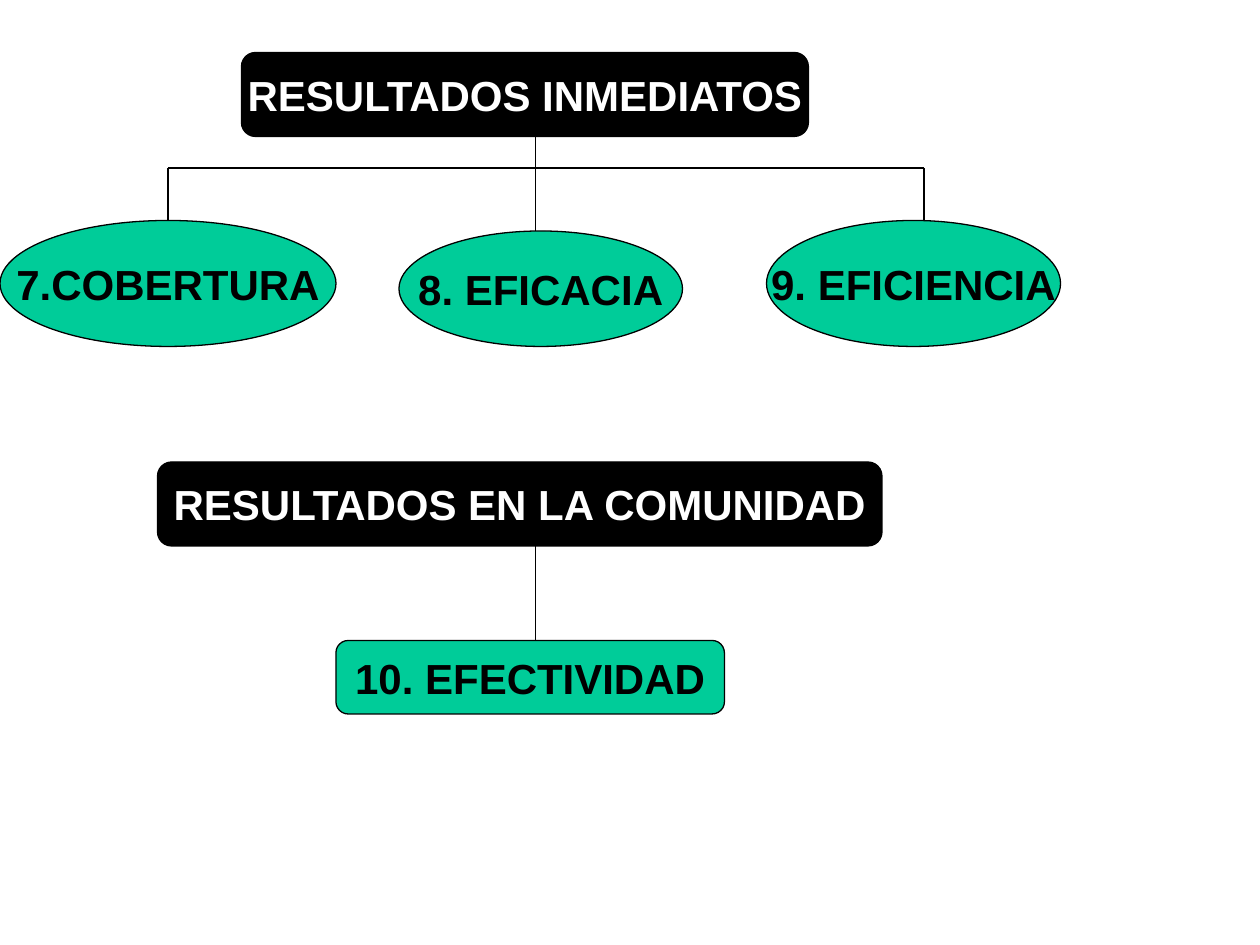
"""Build the results diagram: immediate results and community results."""
from pptx import Presentation, util as u
from pptx.dml.color import RGBColor
from pptx.enum import shapes, text
from pptx.oxml.ns import qn
from lxml import etree

BLACK = RGBColor(0, 0, 0)
WHITE = RGBColor(255, 255, 255)
GREEN = RGBColor(0, 204, 153)
PX = 9525
ROUND = shapes.MSO_SHAPE.ROUNDED_RECTANGLE
OVAL = shapes.MSO_SHAPE.OVAL

deck = Presentation()
deck.slide_width, deck.slide_height = 960 * PX, 720 * PX
slide = deck.slides.add_slide(deck.slide_layouts[6])


def node(label, box, kind=OVAL, fill=GREEN, color=BLACK, size=24):
    shape = slide.shapes.add_shape(kind, *[n * PX for n in box])
    shape.shadow.inherit = False
    shape.fill.solid()
    shape.fill.fore_color.rgb = fill
    shape.line.color.rgb = BLACK
    shape.line.width = u.Pt(0.75)
    frame = shape.text_frame
    frame.word_wrap = False
    frame.vertical_anchor = text.MSO_ANCHOR.MIDDLE
    para = frame.paragraphs[0]
    para.alignment = text.PP_ALIGN.CENTER
    run = para.add_run()
    run.text = label
    run.font.name = "Arial"
    run.font.size = u.Pt(size)
    run.font.bold = True
    run.font.color.rgb = color
    return shape


def link(*ends):
    line = slide.shapes.add_connector(
        shapes.MSO_CONNECTOR.STRAIGHT, *[n * PX for n in ends])
    line.line.color.rgb = BLACK
    line.line.width = u.Pt(0.75)
    etree.SubElement(line._element.spPr, qn("a:effectLst"))
    return line


head = {"kind": ROUND, "fill": BLACK, "color": WHITE}
stem, bar, left, right = 408, 128, 128, 704

node("RESULTADOS INMEDIATOS", (184, 40, 432, 64), **head)
cover = node("7.COBERTURA", (0, 168, 256, 96))
node("8. EFICACIA", (304, 176, 216, 88))
node("9. EFICIENCIA", (584, 168, 224, 96))
link(stem, 104, stem, 176)
link(left, bar, right, bar)
link(left, bar, left, 168).end_connect(cover, 0)
link(right, bar, right, 168)

node("RESULTADOS EN LA COMUNIDAD", (120, 352, 552, 64), **head)
node("10. EFECTIVIDAD", (256, 488, 296, 56), kind=ROUND)
link(stem, 416, stem, 488)

deck.save("out.pptx")
